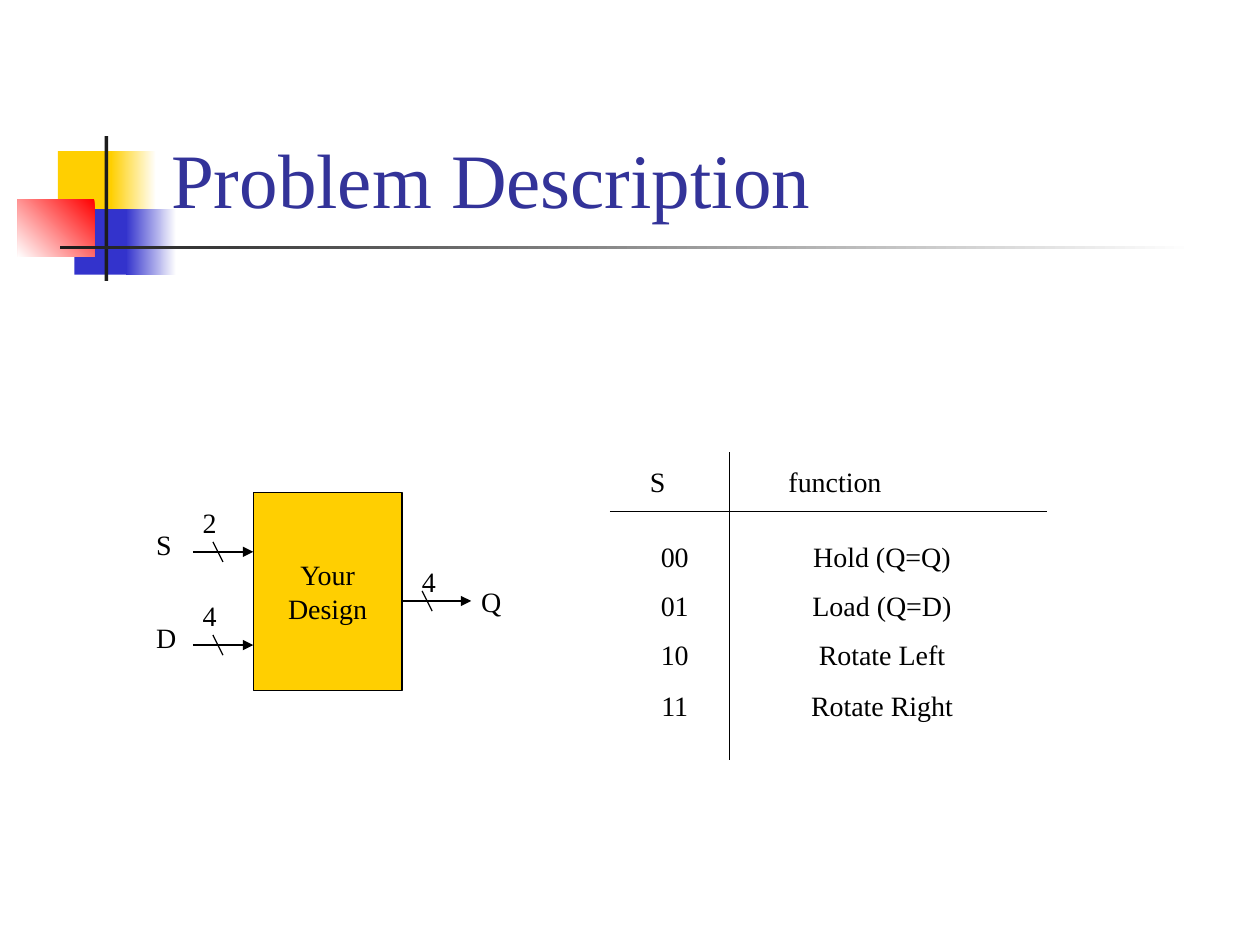
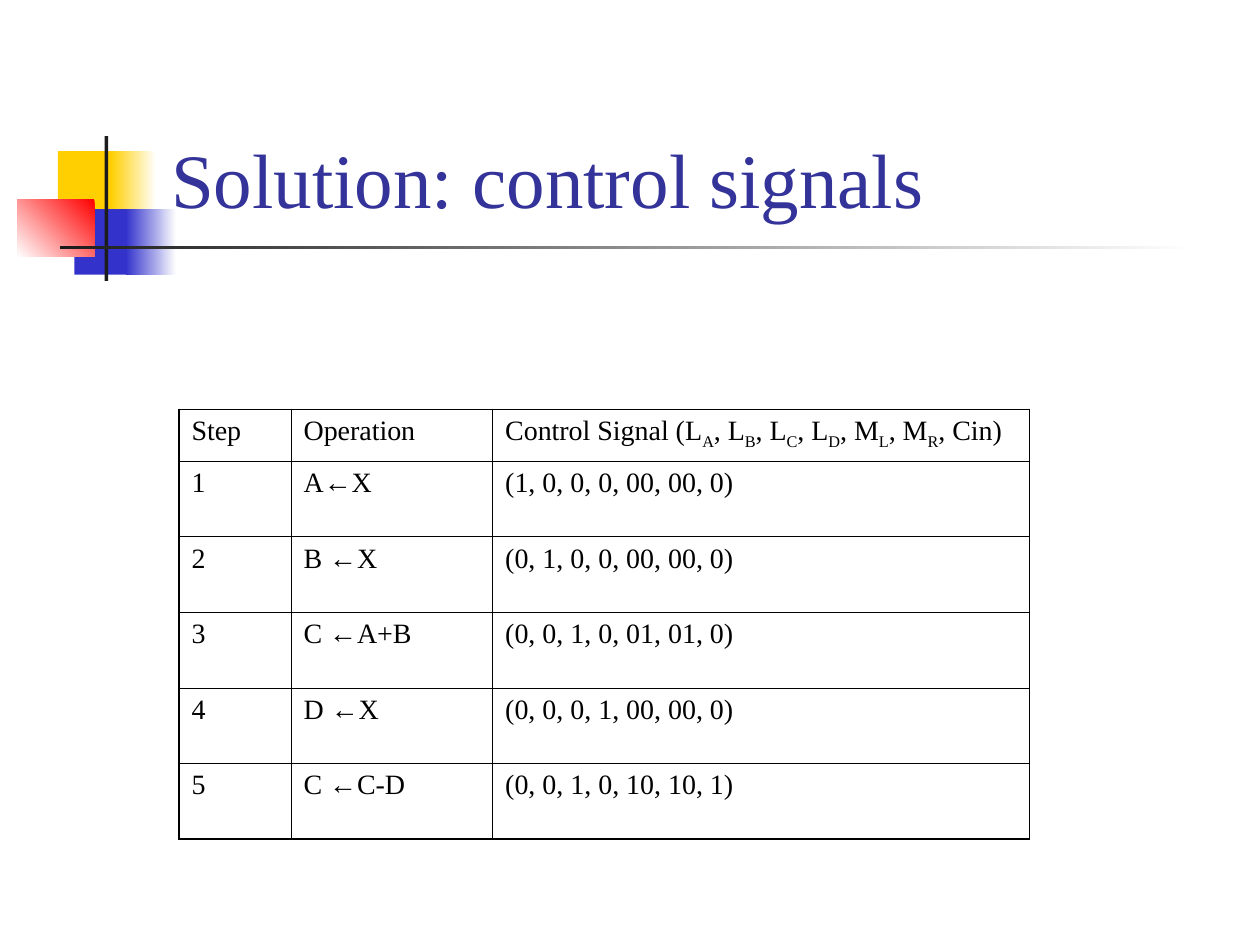
from lxml import etree
from pptx import Presentation
from pptx import util as u
from pptx.dml.color import RGBColor
from pptx.enum import shapes, text
from pptx.oxml import ns

PX = 9144  # EMU in one px, 100 px to the inch
COLORS = {
    "white": "FFFFFF", "black": "000000", "ink": "1C1C1C", "title": "333399",
    "yellow": "FFCF01", "blue": "3333CC", "red": "FF0000",
}
FONT = "Times New Roman"
BODY_PT, TITLE_PT = 16, 44
LINE_PT, OUTER_PT, INNER_PT = 0.75, 1.08, 0.45
LEFT, CENTER = text.PP_ALIGN.LEFT, text.PP_ALIGN.CENTER
TOP, MIDDLE, BOTTOM = (text.MSO_ANCHOR.TOP, text.MSO_ANCHOR.MIDDLE,
                       text.MSO_ANCHOR.BOTTOM)


def px(*lengths):
    return [u.Emu(n * PX) for n in lengths]


def rgb(name):
    return RGBColor.from_string(COLORS[name])


class Deck:
    def __init__(self):
        self.prs = Presentation()
        self.prs.slide_width, self.prs.slide_height = px(1000, 750)
        self.slide = None

    def new_slide(self, title):
        self.slide = self.prs.slides.add_slide(self.prs.slide_layouts[6])
        # Overlapping squares and crossed bars beside the title
        self.rect(46, 120, 48, 52, "yellow")
        self.rect(88, 120, 36, 52, ("white", "yellow"))
        self.rect(59, 166, 46, 52, "blue")
        self.rect(100, 166, 40, 52, ("white", "blue"))
        self.rect(14, 158, 61, 46, ("red", "white"), angle=225)
        self.rect(83, 108, 3, 115, "ink")
        self.rect(48, 195, 900, 3, ("white", "ink"))
        self.label(title, 126, 23, 852, 160, anchor=BOTTOM, wrap=True,
                   size=TITLE_PT, color="title")

    def rect(self, x, y, w, h, fill, angle=180, outline=None):
        """Rectangle; a pair of colours as fill makes a gradient."""
        shape = self.slide.shapes.add_shape(
            shapes.MSO_SHAPE.RECTANGLE, *px(x, y, w, h))
        shape.shadow.inherit = False
        if isinstance(fill, tuple):
            shape.fill.gradient()
            shape.fill.gradient_angle = angle
            for stop, color in zip(shape.fill.gradient_stops, fill):
                stop.color.rgb = rgb(color)
        else:
            shape.fill.solid()
            shape.fill.fore_color.rgb = rgb(fill)
        if outline:
            shape.line.color.rgb = rgb(outline)
            shape.line.width = u.Pt(LINE_PT)
        else:
            shape.line.fill.background()
        return shape

    def add_text(self, frame, words, align=LEFT, size=BODY_PT, color="black"):
        """One paragraph a line; every second piece between bars is subscript."""
        for i, line in enumerate(words.split("\n")):
            para = frame.add_paragraph() if i else frame.paragraphs[0]
            para.alignment = align
            for n, piece in enumerate(line.split("|")):
                run = para.add_run()
                run.text = piece
                run.font.name, run.font.size = FONT, u.Pt(size)
                run.font.color.rgb = rgb(color)
                if n % 2:
                    run.font._element.set("baseline", "-25000")

    def label(self, words, x, y, w, h, anchor=TOP, wrap=False, **style):
        frame = self.slide.shapes.add_textbox(*px(x, y, w, h)).text_frame
        frame.word_wrap, frame.vertical_anchor = wrap, anchor
        self.add_text(frame, words, **style)

    def line(self, x1, y1, x2, y2, arrow=False):
        link = self.slide.shapes.add_connector(
            shapes.MSO_CONNECTOR.STRAIGHT, *px(x1, y1, x2, y2))
        link.line.color.rgb = rgb("black")
        link.line.width = u.Pt(LINE_PT)
        if arrow:
            etree.SubElement(link.line._get_or_add_ln(), ns.qn("a:tailEnd"),
                             type="triangle")
        etree.SubElement(link._element.spPr, ns.qn("a:effectLst"))

    def bus(self, x, y, length, bits, bits_x, bits_y):
        """Arrow with a slash and its number of bits."""
        self.line(x, y, x + length, y, arrow=True)
        self.line(x + 16, y - 8, x + 24, y + 8)
        self.label(bits, bits_x, bits_y, 31, 37)

    def table(self, x, y, widths, heights, rows):
        table = self.slide.shapes.add_table(
            len(heights), len(widths),
            *px(x, y, sum(widths), sum(heights))).table
        table.first_row = table.horz_banding = False
        for column, width in zip(table.columns, widths):
            column.width, = px(width)
        for row, height in zip(table.rows, heights):
            row.height, = px(height)
        for r, row in enumerate(rows):
            for c, words in enumerate(row):
                cell = table.cell(r, c)
                cell.fill.background()
                self.add_text(cell.text_frame, words)
                self.borders(cell, {"L": c == 0, "R": c == len(widths) - 1,
                                    "T": r == 0, "B": r == len(heights) - 1})

    def borders(self, cell, outer_sides):
        props = cell._tc.get_or_add_tcPr()
        for i, (side, outer) in enumerate(outer_sides.items()):
            width = u.Pt(OUTER_PT if outer else INNER_PT)
            edge = etree.Element(ns.qn("a:ln" + side), w=str(int(width)))
            fill = etree.SubElement(edge, ns.qn("a:solidFill"))
            etree.SubElement(fill, ns.qn("a:srgbClr"), val=COLORS["black"])
            props.insert(i, edge)


def problem_slide(deck):
    deck.new_slide("Problem Description")

    # Block diagram
    design = deck.rect(201, 391, 118, 157, "yellow", outline="black")
    design.text_frame.word_wrap = False
    design.text_frame.vertical_anchor = MIDDLE
    deck.add_text(design.text_frame, "Your\nDesign", align=CENTER)
    for name, bits, y in (("S", "2", 438), ("D", "4", 512)):
        deck.bus(153, y, 48, bits, 151, y - 42)
        deck.label(name, 114, y - 24, 34, 37)
    deck.bus(319, 477, 55, "4", 325, 443)
    deck.label("Q", 372, 459, 36, 37)

    # Function table
    functions = (("00", "Hold (Q=Q)"), ("01", "Load (Q=D)"),
                 ("10", "Rotate Left"), ("11", "Rotate Right"))
    for i, (select, function) in enumerate(functions):
        y = 422 + i * 118 // 3
        deck.label(select, 500, y, 71, 39, anchor=MIDDLE, align=CENTER)
        deck.label(function, 586, y, 228, 39, anchor=MIDDLE, align=CENTER)
    deck.line(484, 406, 831, 406)
    deck.line(579, 359, 579, 603)
    deck.label("S", 506, 364, 32, 37)
    deck.label("function", 616, 364, 94, 37)


def solution_slide(deck):
    deck.new_slide("Solution: control signals")
    header = ("Step", "Operation",
              "Control Signal (L|A|, L|B|, L|C|, L|D|, M|L|, M|R|, Cin)")
    steps = (("A←X", "(1, 0, 0, 0, 00, 00, 0)"),
             ("B ←X", "(0, 1, 0, 0, 00, 00, 0)"),
             ("C ←A+B", "(0, 0, 1, 0, 01, 01, 0)"),
             ("D ←X", "(0, 0, 0, 1, 00, 00, 0)"),
             ("C ←C-D", "(0, 0, 1, 0, 10, 10, 1)"))
    rows = [header] + [(str(n), *step) for n, step in enumerate(steps, 1)]
    deck.table(142, 325, (89, 160, 426), [41] + [60] * len(steps), rows)


def main():
    deck = Deck()
    problem_slide(deck)
    solution_slide(deck)
    deck.prs.save("out.pptx")


if __name__ == "__main__":
    main()
